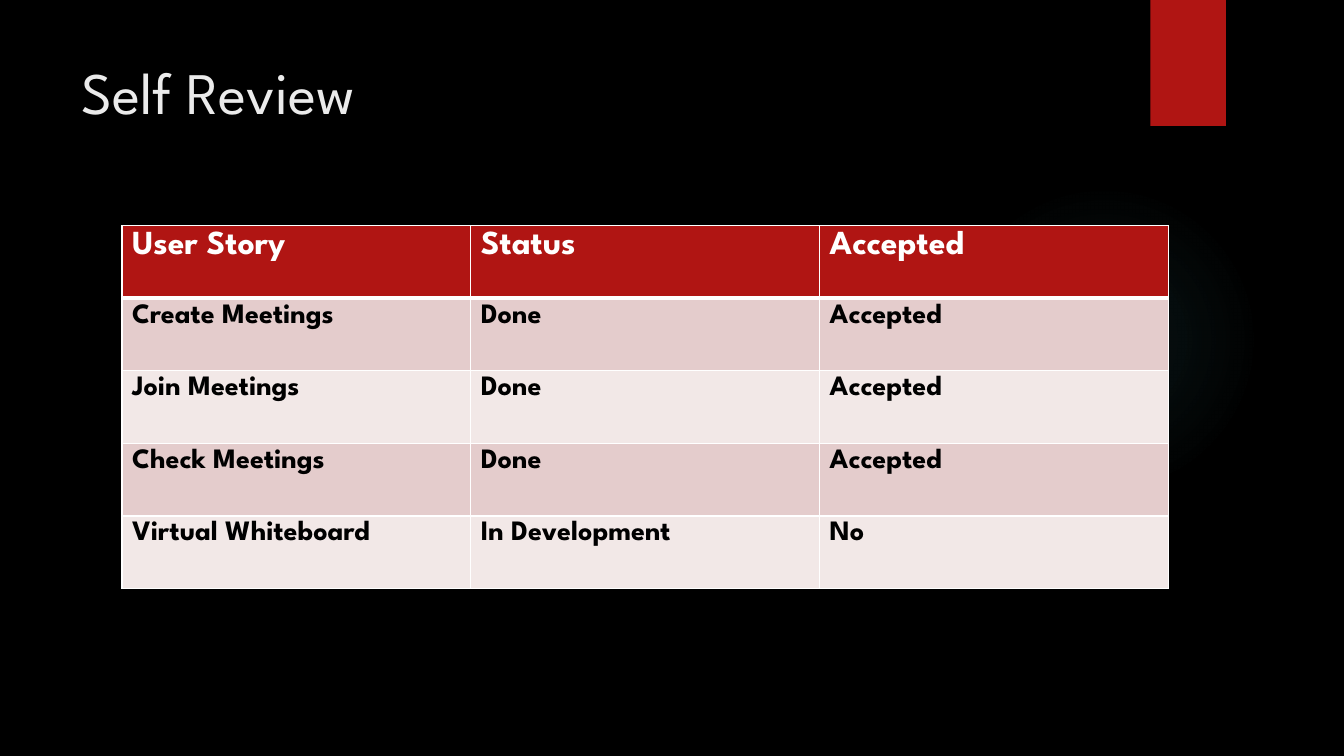
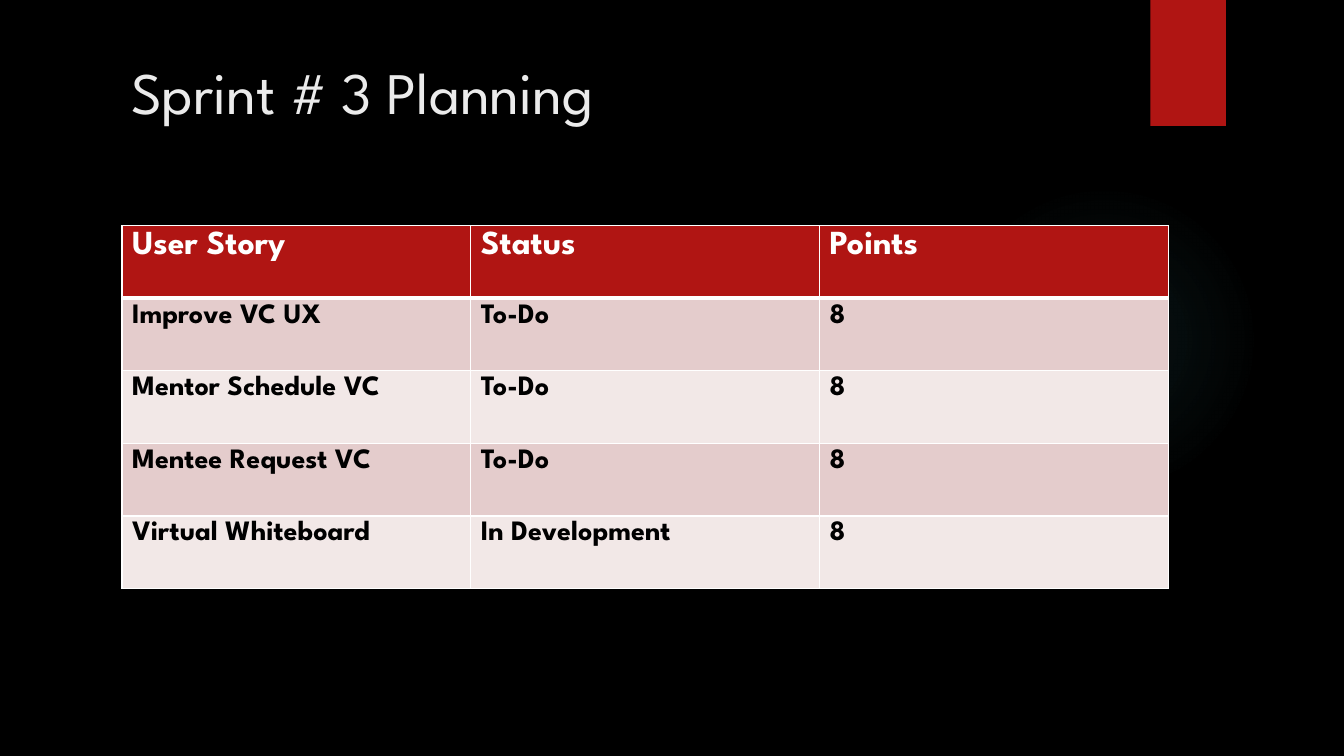
"""Build the sprint review and sprint planning table slides."""
from dataclasses import dataclass

from pptx import Presentation
from pptx.dml.color import RGBColor
from pptx.enum import shapes, text
from pptx.oxml import parse_xml
from pptx.oxml.ns import nsdecls
from pptx.util import Inches, Pt

FONT = "League Spartan"
BLACK = RGBColor(0x00, 0x00, 0x00)
WHITE = RGBColor(0xFF, 0xFF, 0xFF)
TITLE_GREY = RGBColor(0xEB, 0xEB, 0xEB)
RED = RGBColor(0xB0, 0x15, 0x13)
BANDS = (RGBColor(0xE4, 0xCC, 0xCC), RGBColor(0xF2, 0xE8, 0xE7))
GLOW = RGBColor(0x50, 0xB9, 0xC1)
GLOW_STOPS = ((0, 7), (36, 6), (69, 0))
TITLE_RIGHT = 11
COL_WIDTH, ROW_HEIGHT = 3.46, 0.72
THIN, THICK = 1, 3


@dataclass(frozen=True)
class TableSlide:
    """Content of one slide: a title and a table whose first row is the header."""

    title: str
    title_left: float
    rows: tuple[tuple[str, ...], ...]


SLIDES = (
    TableSlide("Self Review", 0.71, (
        ("User Story", "Status", "Accepted"),
        ("Create Meetings", "Done", "Accepted"),
        ("Join Meetings", "Done", "Accepted"),
        ("Check Meetings", "Done", "Accepted"),
        ("Virtual Whiteboard", "In Development", "No"),
    )),
    TableSlide("Sprint # 3 Planning", 1.2, (
        ("User Story", "Status", "Points"),
        ("Improve VC UX", "To-Do", "8"),
        ("Mentor Schedule VC", "To-Do", "8"),
        ("Mentee Request VC", "To-Do", "8"),
        ("Virtual Whiteboard", "In Development", "8"),
    )),
)


def write(tf, content: str, *, size: float, color: RGBColor, bold: bool = False) -> None:
    """Put one left-aligned, formatted run into a text frame."""
    p = tf.paragraphs[0]
    p.alignment = text.PP_ALIGN.LEFT
    r = p.add_run()
    r.text = content
    r.font.name, r.font.size, r.font.bold = FONT, Pt(size), bold
    r.font.color.rgb = color


def add_plain_shape(slide, kind, left: float, top: float, width: float, height: float):
    """Add a preset shape without outline or shadow."""
    sp = slide.shapes.add_shape(kind, Inches(left), Inches(top), Inches(width), Inches(height))
    sp.shadow.inherit = False
    sp.line.fill.background()
    return sp


def add_decoration(slide) -> None:
    """Draw the soft glow and the red tab."""
    glow = add_plain_shape(slide, shapes.MSO_SHAPE.OVAL, 9.41, 1.83, 3.08, 3.08)
    stops = "".join(
        f'<a:gs pos="{pos * 1000}"><a:srgbClr val="{GLOW}">'
        f'<a:alpha val="{alpha * 1000}"/></a:srgbClr></a:gs>'
        for pos, alpha in GLOW_STOPS
    )
    gradient = parse_xml(
        f'<a:gradFill {nsdecls("a")}><a:gsLst>{stops}</a:gsLst><a:path path="circle">'
        '<a:fillToRect l="50000" t="50000" r="50000" b="50000"/></a:path></a:gradFill>'
    )
    glow.element.spPr.prstGeom.addnext(gradient)
    tab = add_plain_shape(slide, shapes.MSO_SHAPE.RECTANGLE, 11.41, 0, 0.75, 1.25)
    tab.fill.solid()
    tab.fill.fore_color.rgb = RED


def set_title(slide, content: str, left: float) -> None:
    """Place and format the title placeholder."""
    title = slide.shapes.title
    title.left, title.top = Inches(left), Inches(0.5)
    title.width, title.height = Inches(TITLE_RIGHT - left), Inches(1.53)
    tf = title.text_frame
    tf.word_wrap = True
    tf.auto_size = text.MSO_AUTO_SIZE.NONE
    tf.vertical_anchor = text.MSO_ANCHOR.TOP
    write(tf, content, size=42, color=TITLE_GREY)


def set_borders(cell, top: float, bottom: float) -> None:
    """Give a cell white borders of the stated point widths."""
    tc_pr = cell._tc.get_or_add_tcPr()
    for side, width in (("L", THIN), ("R", THIN), ("T", top), ("B", bottom)):
        tc_pr.append(parse_xml(
            f'<a:ln{side} {nsdecls("a")} w="{Pt(width)}"><a:solidFill>'
            f'<a:srgbClr val="{WHITE}"/></a:solidFill></a:ln{side}>'
        ))


def add_story_table(slide, rows: tuple[tuple[str, ...], ...]) -> None:
    """Draw the table with a red header and banded body rows."""
    n_rows, n_cols = len(rows), len(rows[0])
    table = slide.shapes.add_table(
        n_rows, n_cols, Inches(1.21), Inches(2.24),
        Inches(COL_WIDTH * n_cols), Inches(ROW_HEIGHT * n_rows),
    ).table
    for i, row in enumerate(rows):
        header = i == 0
        for j, content in enumerate(row):
            cell = table.cell(i, j)
            set_borders(cell, THICK if i == 1 else THIN, THICK if header else THIN)
            cell.fill.solid()
            cell.fill.fore_color.rgb = RED if header else BANDS[(i - 1) % 2]
            write(cell.text_frame, content, size=24 if header else 20,
                  color=WHITE if header else BLACK, bold=True)


def main() -> None:
    """Build and save the presentation."""
    prs = Presentation()
    prs.slide_width, prs.slide_height = Inches(13.33), Inches(7.5)
    background = prs.slide_master.background.fill
    background.solid()
    background.fore_color.rgb = BLACK
    for content in SLIDES:
        slide = prs.slides.add_slide(prs.slide_layouts.get_by_name("Title Only"))
        add_decoration(slide)
        set_title(slide, content.title, content.title_left)
        add_story_table(slide, content.rows)
    prs.save("out.pptx")


if __name__ == "__main__":
    main()
